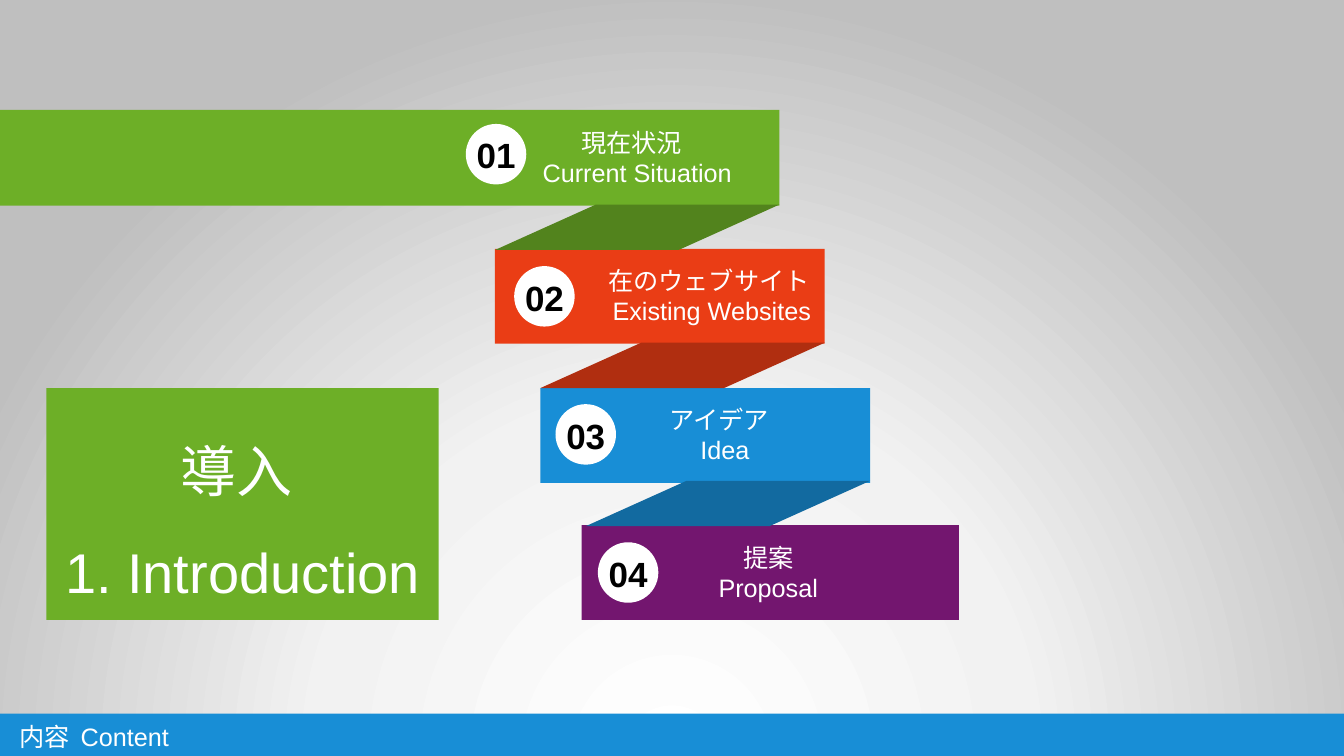
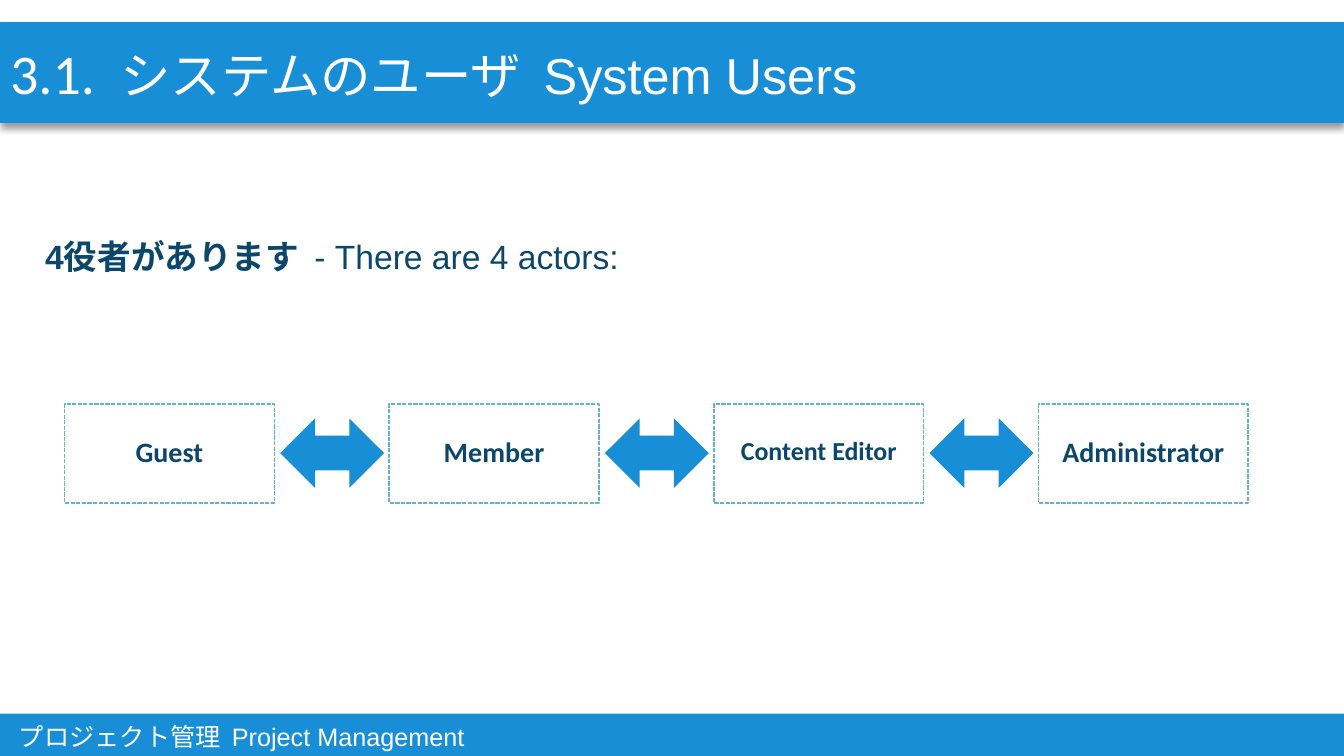
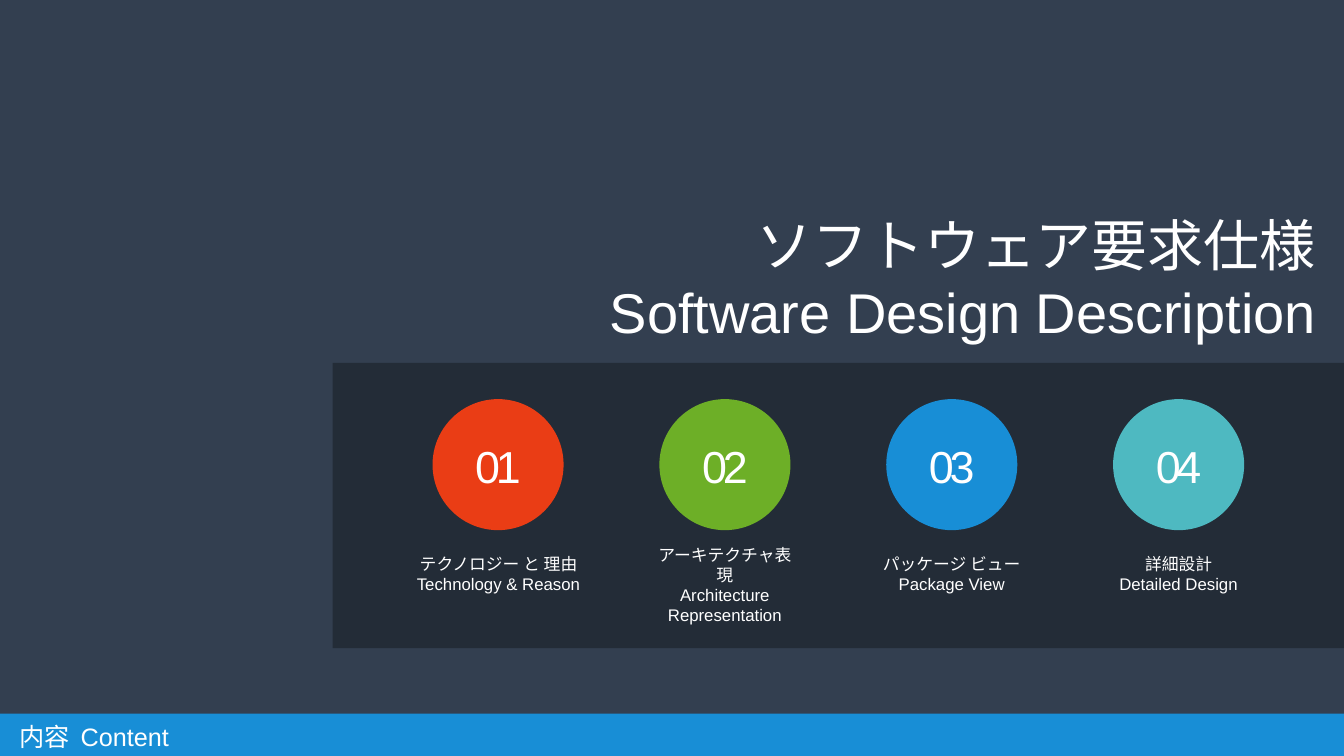
"""Builds three slides on a software project: contents, system users and design chapters."""
from dataclasses import dataclass
from typing import Optional

from pptx import Presentation
from pptx import util as u
from pptx.dml.color import RGBColor
from pptx.enum import dml, shapes, text
from pptx.oxml import parse_xml
from pptx.oxml.ns import nsdecls, qn

PX = 9144
WIDTH, HEIGHT = 1333, 750

WHITE = RGBColor(0xFF, 0xFF, 0xFF)
BLACK = RGBColor(0x00, 0x00, 0x00)
GREEN = RGBColor(0x6D, 0xAF, 0x27)
RED = RGBColor(0xEA, 0x3D, 0x15)
BLUE = RGBColor(0x18, 0x8E, 0xD6)
PURPLE = RGBColor(0x73, 0x16, 0x6F)
TEAL = RGBColor(0x4E, 0xB9, 0xC1)
DARK_GREEN = RGBColor(0x52, 0x83, 0x1D)
DARK_RED = RGBColor(0xB0, 0x2E, 0x10)
DARK_BLUE = RGBColor(0x12, 0x6A, 0xA0)
NAVY = RGBColor(0x0C, 0x47, 0x6B)
DASH = RGBColor(0x62, 0xB4, 0xC6)
SLATE = RGBColor(0x33, 0x3F, 0x50)
PANEL = RGBColor(0x22, 0x2A, 0x35)

RECT = shapes.MSO_SHAPE.RECTANGLE
OVAL = shapes.MSO_SHAPE.OVAL
LEFT, CENTER, RIGHT = text.PP_ALIGN.LEFT, text.PP_ALIGN.CENTER, text.PP_ALIGN.RIGHT
TOP, MIDDLE = text.MSO_ANCHOR.TOP, text.MSO_ANCHOR.MIDDLE

RADIAL = (
    f'<a:gradFill rotWithShape="1" {nsdecls("a")}><a:gsLst>'
    '<a:gs pos="0"><a:srgbClr val="FFFFFF"/></a:gs>'
    '<a:gs pos="46000"><a:srgbClr val="F2F2F2"/></a:gs>'
    '<a:gs pos="100000"><a:srgbClr val="BFBFBF"/></a:gs></a:gsLst>'
    '<a:path path="circle"><a:fillToRect l="50000" t="130000" r="50000" b="-30000"/></a:path>'
    '</a:gradFill>'
)
BAND_SHADOW = (
    f'<a:effectLst {nsdecls("a")}><a:outerShdw blurRad="63500" dist="38100" dir="5400000"'
    ' algn="t" rotWithShape="0"><a:srgbClr val="000000"><a:alpha val="40000"/></a:srgbClr>'
    '</a:outerShdw></a:effectLst>'
)


@dataclass(frozen=True)
class Box:
    x: int
    y: int
    w: int
    h: int

    def emu(self) -> tuple:
        return tuple(u.Emu(side * PX) for side in (self.x, self.y, self.w, self.h))


@dataclass(frozen=True)
class Span:
    words: str
    size: float
    color: RGBColor = WHITE
    bold: bool = False
    face: str = "Arial"
    tracking: int = 0


@dataclass(frozen=True)
class Ribbon:
    number: str
    lines: tuple
    band: Box
    color: RGBColor
    disc: tuple
    label: Box
    fold: Optional[RGBColor]


@dataclass(frozen=True)
class Chapter:
    number: str
    lines: tuple
    color: RGBColor
    label: Box


RIBBONS = (
    Ribbon("01", ("現在状況  ", "Current Situation"), Box(0, 109, 773, 95), GREEN,
           (462, 123), Box(491, 121, 282, 71), DARK_GREEN),
    Ribbon("02", ("在のウェブサイト  Existing Websites",), Box(491, 247, 327, 94), RED,
           (510, 264), Box(593, 258, 226, 71), DARK_RED),
    Ribbon("03", ("アイデア  ", "Idea"), Box(536, 385, 327, 94), BLUE,
           (551, 401), Box(627, 396, 184, 71), DARK_BLUE),
    Ribbon("04", ("提案", "Proposal"), Box(577, 521, 374, 94), PURPLE,
           (593, 538), Box(670, 533, 184, 71), None),
)
ACTORS = (("Guest", 20), ("Member", 20), ("Content Editor", 18.5), ("Administrator", 20))
ACTOR_LEFT, ACTOR_STEP = 64, 322
CHAPTERS = (
    Chapter("01", ("テクノロジー と 理由", "Technology & Reason"), RED, Box(399, 544, 191, 50)),
    Chapter("02", ("アーキテクチャ表現", "Architecture Representation"), GREEN,
            Box(636, 535, 166, 71)),
    Chapter("03", ("パッケージ ビュー", "Package View"), BLUE, Box(861, 544, 166, 50)),
    Chapter("04", ("詳細設計", "Detailed Design"), TEAL, Box(1086, 544, 166, 50)),
)
CHAPTER_LEFT, CHAPTER_STEP = 429, 225


def write(shape, paras: list, align=LEFT, anchor=TOP, leading: float = 1.0) -> None:
    """Fill a shape with paragraphs, each a list of spans."""
    frame = shape.text_frame
    frame.word_wrap = True
    frame.auto_size = text.MSO_AUTO_SIZE.NONE
    frame.vertical_anchor = anchor
    for index, spans in enumerate(paras):
        para = frame.paragraphs[0] if index == 0 else frame.add_paragraph()
        para.alignment = align
        para.line_spacing = leading
        for span in spans:
            run = para.add_run()
            run.text = span.words
            font = run.font
            font.name, font.size, font.bold = span.face, u.Pt(span.size), span.bold
            font.color.rgb = span.color
            if span.tracking:
                font._element.set("spc", str(span.tracking * 100))


def stack(lines: tuple, size: float) -> list:
    """Make one white paragraph of each line."""
    return [[Span(line, size)] for line in lines]


def add_shape(slide, box: Box, color: Optional[RGBColor], kind=RECT):
    """Add a flat shape, filled when a colour is given."""
    shape = slide.shapes.add_shape(kind, *box.emu())
    shape.shadow.inherit = False
    shape.line.fill.background()
    if color is None:
        shape.fill.background()
    else:
        shape.fill.solid()
        shape.fill.fore_color.rgb = color
    return shape


def add_text(slide, box: Box, paras: list, align=CENTER, anchor=TOP, leading: float = 1.0) -> None:
    """Add a text box."""
    write(slide.shapes.add_textbox(*box.emu()), paras, align, anchor, leading)


def place_title(slide, box: Box, paras: list, align, anchor=TOP, leading: float = 1.0):
    """Move the title placeholder to the front and fill it in."""
    title = slide.shapes.title
    slide.shapes.element.append(title.element)
    title.left, title.top, title.width, title.height = box.emu()
    write(title, paras, align, anchor, leading)
    return title


def add_footer(slide, words: str, width: int) -> None:
    """Add the blue footer band with its label."""
    add_shape(slide, Box(0, 708, WIDTH, 46), BLUE)
    write(add_shape(slide, Box(9, 711, width, 40), BLUE), [[Span(words, 18)]])


def new_slide(deck, color: RGBColor):
    """Add a title-only slide with a plain background."""
    slide = deck.slides.add_slide(deck.slide_layouts[5])
    slide.background.fill.solid()
    slide.background.fill.fore_color.rgb = color
    return slide


def build_contents(deck) -> None:
    """Draw the folded ribbon of contents."""
    slide = new_slide(deck, WHITE)
    backdrop = slide.element.find(".//" + qn("p:bgPr"))
    backdrop.replace(backdrop[0], parse_xml(RADIAL))
    for ribbon in RIBBONS:
        add_shape(slide, ribbon.band, ribbon.color)
    title = place_title(slide, Box(46, 385, 389, 230), stack(("導入 ", "1. Introduction"), 40),
                        CENTER, MIDDLE, 1.5)
    title.fill.solid()
    title.fill.fore_color.rgb = GREEN
    for index, ribbon in enumerate(RIBBONS):
        if ribbon.fold is not None:
            fold = add_shape(slide, Box(491 + 45 * index, 203 + 137 * index, 282, 45),
                             ribbon.fold, shapes.MSO_SHAPE.PARALLELOGRAM)
            fold.adjustments[0] = 2.22
    for ribbon in RIBBONS:
        x, y = ribbon.disc
        add_shape(slide, Box(x, y, 60, 60), WHITE, OVAL)
        add_text(slide, ribbon.label, stack(ribbon.lines, 18))
        add_text(slide, Box(x - 15, y + 5, 90, 52), [[Span(ribbon.number, 25, BLACK, True)]])
    add_footer(slide, "内容  Content", 475)


def build_users(deck) -> None:
    """Draw the row of system users joined by arrows."""
    slide = new_slide(deck, WHITE)
    add_footer(slide, "プロジェクト管理  Project Management", 566)
    band = add_shape(slide, Box(0, 22, WIDTH, 100), BLUE)
    properties = band.element.spPr
    properties.replace(properties.find(qn("a:effectLst")), parse_xml(BAND_SHADOW))
    heading = [Span("3.1.  ", 40, face="Calibri"), Span("システムのユーザ  System Users", 36)]
    place_title(slide, Box(0, 33, WIDTH, 77), [heading], LEFT)
    intro = [Span("4役者があります ", 24, NAVY, True), Span(" - There are 4 actors:", 24, NAVY)]
    add_text(slide, Box(35, 234, 602, 55), [intro], LEFT, leading=0.9)
    for index, (name, size) in enumerate(ACTORS):
        x = ACTOR_LEFT + ACTOR_STEP * index
        frame = add_shape(slide, Box(x, 401, 208, 98), None)
        frame.line.color.rgb = DASH
        frame.line.width = u.Pt(1)
        frame.line.dash_style = dml.MSO_LINE.SQUARE_DOT
        add_text(slide, Box(x, 423, 208, 51), [[Span(name, size, NAVY, True, "Calibri")]],
                 leading=1.1)
        if index < len(ACTORS) - 1:
            add_shape(slide, Box(x + 214, 415, 103, 69), BLUE,
                      shapes.MSO_SHAPE.LEFT_RIGHT_ARROW)


def build_chapters(deck) -> None:
    """Draw the numbered chapters of the design description."""
    slide = new_slide(deck, SLATE)
    panel = add_shape(slide, Box(330, 360, WIDTH - 330, 283), PANEL)
    tint = panel.element.spPr.find(qn("a:solidFill"))[0]
    tint.append(parse_xml(f'<a:alpha val="90000" {nsdecls("a")}/>'))
    for index, chapter in enumerate(CHAPTERS):
        x = CHAPTER_LEFT + CHAPTER_STEP * index
        add_shape(slide, Box(x, 396, 130, 130), chapter.color, OVAL)
        add_text(slide, chapter.label, stack(chapter.lines, 12))
        add_text(slide, Box(x + 7, 419, 116, 85), [[Span(chapter.number, 32, tracking=-3)]],
                 anchor=MIDDLE)
    place_title(slide, Box(587, 204, 728, 145),
                stack(("ソフトウェア要求仕様", "Software Design Description"), 40), RIGHT)
    add_footer(slide, "内容  Content", 475)


def main() -> None:
    """Build and save the deck."""
    deck = Presentation()
    deck.slide_width, deck.slide_height = u.Emu(WIDTH * PX), u.Emu(HEIGHT * PX)
    build_contents(deck)
    build_users(deck)
    build_chapters(deck)
    deck.save("out.pptx")


if __name__ == "__main__":
    main()
